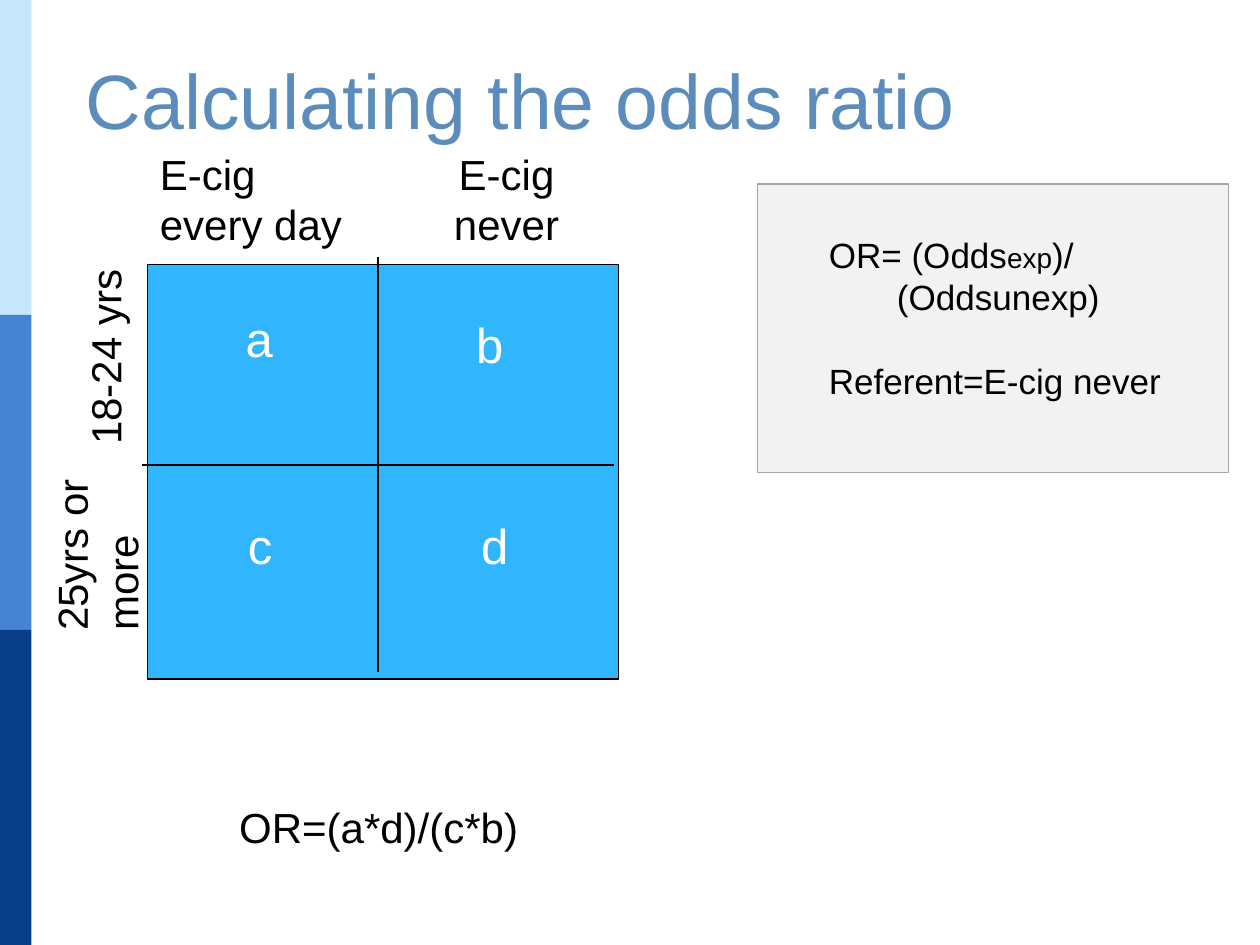
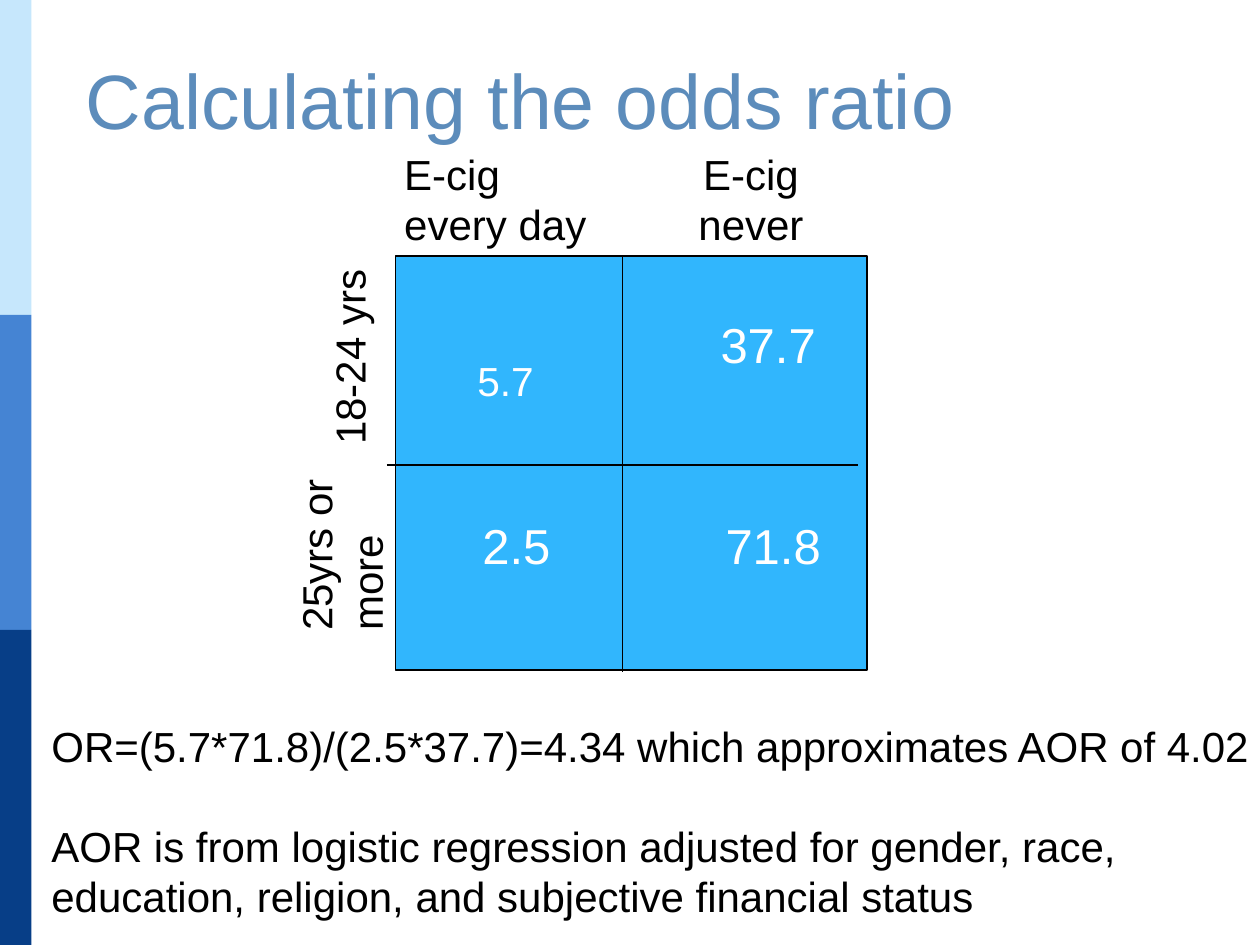
from lxml import etree
from pptx import Presentation, util as u
from pptx.dml.color import RGBColor
from pptx.enum import shapes, text
from pptx.oxml.ns import qn

COLORS = {
    "title": "5C8CBB", "text": "000000", "cell": "31B6FD", "cell_text": "FFFFFF",
    "note": "F2F2F2", "note_border": "A6A6A6",
    "band_top": "C6E7FC", "band_middle": "4584D3", "band_bottom": "073E87",
}
LEFT, CENTER = text.PP_ALIGN.LEFT, text.PP_ALIGN.CENTER


def write(paragraph, words, size=24, color="text", align=LEFT, gap=0, indent=0, baseline=0):
    """Append a run; gap is points above the paragraph, baseline a percentage."""
    paragraph.alignment = align
    if gap:
        paragraph.space_before = u.Pt(gap)
    if indent:
        paragraph._p.get_or_add_pPr().set("marL", str(u.Inches(indent)))
    run = paragraph.add_run()
    run.text = words
    run.font.name = "Arial"
    run.font.size = u.Pt(size)
    run.font.color.rgb = RGBColor.from_string(COLORS[color])
    if baseline:
        run._r.get_or_add_rPr().set("baseline", str(baseline * 1000))


def add_frame(slide, left, top, width, height, rotation=0):
    box = slide.shapes.add_textbox(*map(u.Inches, (left, top, width, height)))
    box.rotation = rotation
    box.text_frame.word_wrap = True
    return box.text_frame


prs = Presentation()
prs.slide_width, prs.slide_height = u.Inches(10), u.Inches(7.5)

# What differs between the slides: shift of the 2x2 grid, its corner and its cells
grids = [
    {"shift": 0, "corner": (1.17, 2.1), "cells": [
        ("a", 1.85, 2.4, 0.48, {}), ("b", 3.68, 2.45, 0.48, {}),
        ("c", 1.87, 4.04, 0.44, {}), ("d", 3.72, 4.04, 0.44, {})]},
    {"shift": 1.94, "corner": (3.14, 2.03), "cells": [
        ("5.7", 3.69, 2.4, 1.14, {"size": 40, "baseline": -25}), ("37.7", 5.62, 2.45, 1.18, {}),
        ("2.5", 3.73, 4.04, 0.85, {}), ("71.8", 5.66, 4.04, 1.15, {})]},
]
slides = [prs.slides.add_slide(prs.slide_layouts[5]) for _ in grids]

# Side bands belong to the master: drawn once, then moved there
for row, band_color in enumerate(("band_top", "band_middle", "band_bottom")):
    band = slides[0].shapes.add_shape(
        shapes.MSO_SHAPE.RECTANGLE, 0, u.Inches(2.5 * row), u.Inches(0.25), u.Inches(2.5))
    band.shadow.inherit = False
    band.fill.solid()
    band.fill.fore_color.rgb = RGBColor.from_string(COLORS[band_color])
    band.line.fill.background()
    band.element.nvSpPr.cNvPr.set("id", str(20 + row))
    prs.slide_master.shapes.element.insert(2 + row, band.element)

for slide, grid in zip(slides, grids):
    shift = grid["shift"]

    title = slide.shapes.title
    title.left, title.top, title.width, title.height = map(u.Inches, (0.58, 0.37, 9.42, 0.84))
    title.text_frame.vertical_anchor = text.MSO_ANCHOR.TOP
    title.text_frame.auto_size = text.MSO_AUTO_SIZE.NONE
    write(title.text_frame.paragraphs[0], "Calculating the odds ratio", size=44, color="title")

    panels = [(*grid["corner"], 3.74, 3.29, "cell", "text", 1)]
    if slide is slides[0]:
        panels.append((6.01, 1.46, 3.74, 2.29, "note", "note_border", 0.75))
    for left, top, width, height, fill, border, weight in panels:
        panel = slide.shapes.add_shape(
            shapes.MSO_SHAPE.RECTANGLE, *map(u.Inches, (left, top, width, height)))
        panel.shadow.inherit = False
        panel.fill.solid()
        panel.fill.fore_color.rgb = RGBColor.from_string(COLORS[fill])
        panel.line.color.rgb = RGBColor.from_string(COLORS[border])
        panel.line.width = u.Pt(weight)

    for x1, y1, x2, y2 in ((3, 2.04, 3, 5.33), (1.13, 3.69, 4.87, 3.69)):
        divider = slide.shapes.add_connector(
            shapes.MSO_CONNECTOR.STRAIGHT,
            *map(u.Inches, (x1 + shift, y1, x2 + shift, y2)))
        divider.line.color.rgb = RGBColor.from_string(COLORS["text"])
        divider.line.width = u.Pt(1)
        etree.SubElement(divider.element.spPr, qn("a:effectLst"))

    for value, left, top, width, style in grid["cells"]:
        frame = add_frame(slide, left, top, width, 0.57)
        write(frame.paragraphs[0], value, **{"size": 28, "color": "cell_text", **style})

    for label, left, top, width, rotation, align in (
            ("18-24 yrs", 0.18, 2.32, 1.71, 270, LEFT),
            ("25yrs or more", -0.02, 3.86, 1.58, 270, LEFT),
            ("E-cig every day", 1.17, 1.13, 1.71, 0, LEFT),
            ("E-cig never", 3.11, 1.13, 1.82, 0, CENTER)):
        frame = add_frame(slide, left + shift, top, width, 0.91, rotation)
        write(frame.paragraphs[0], label, align=align)

formula_slide, result_slide = slides

formula = add_frame(formula_slide, 1.8, 6.31, 7.35, 0.5)
write(formula.paragraphs[0], "OR=(a*d)/(c*b)")

definition = add_frame(formula_slide, 6.48, 1.8, 2.85, 1.45)
definition.word_wrap = False
for words, size in (("OR= (Odds", 20), ("exp", 16), (")/", 20)):
    write(definition.paragraphs[0], words, size=size)
write(definition.add_paragraph(), "(Oddsunexp)", size=20, indent=0.54)
write(definition.add_paragraph(), "Referent=E-cig never", size=20, gap=24)

result = add_frame(result_slide, 0.31, 5.67, 9.84, 1.72)
write(result.paragraphs[0], "OR=(5.7*71.8)/(2.5*37.7)=4.34 which approximates AOR of 4.02")
write(result.add_paragraph(),
      "AOR is from logistic regression adjusted for gender, race, education, religion, "
      "and subjective financial status", gap=28)

prs.save("out.pptx")
